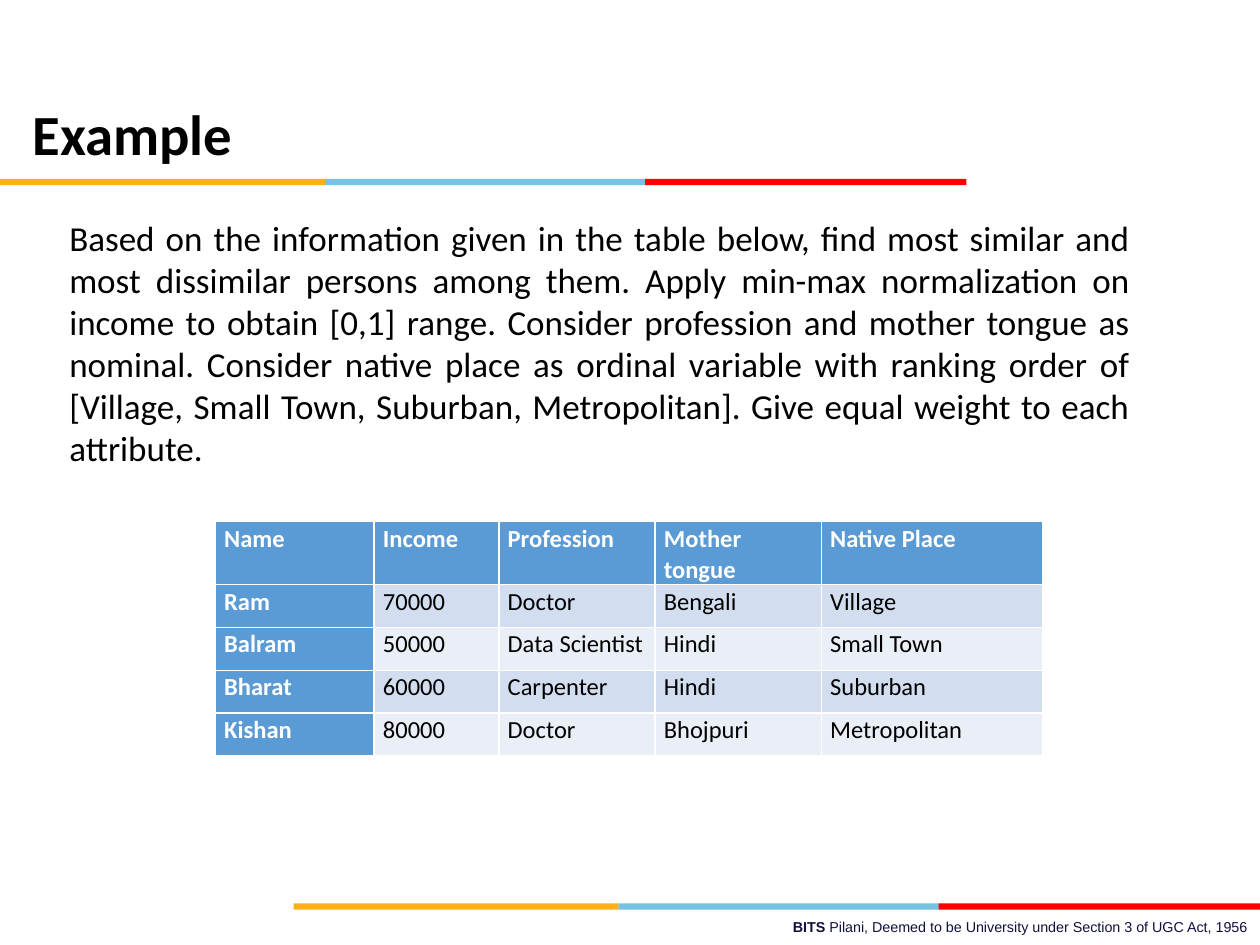
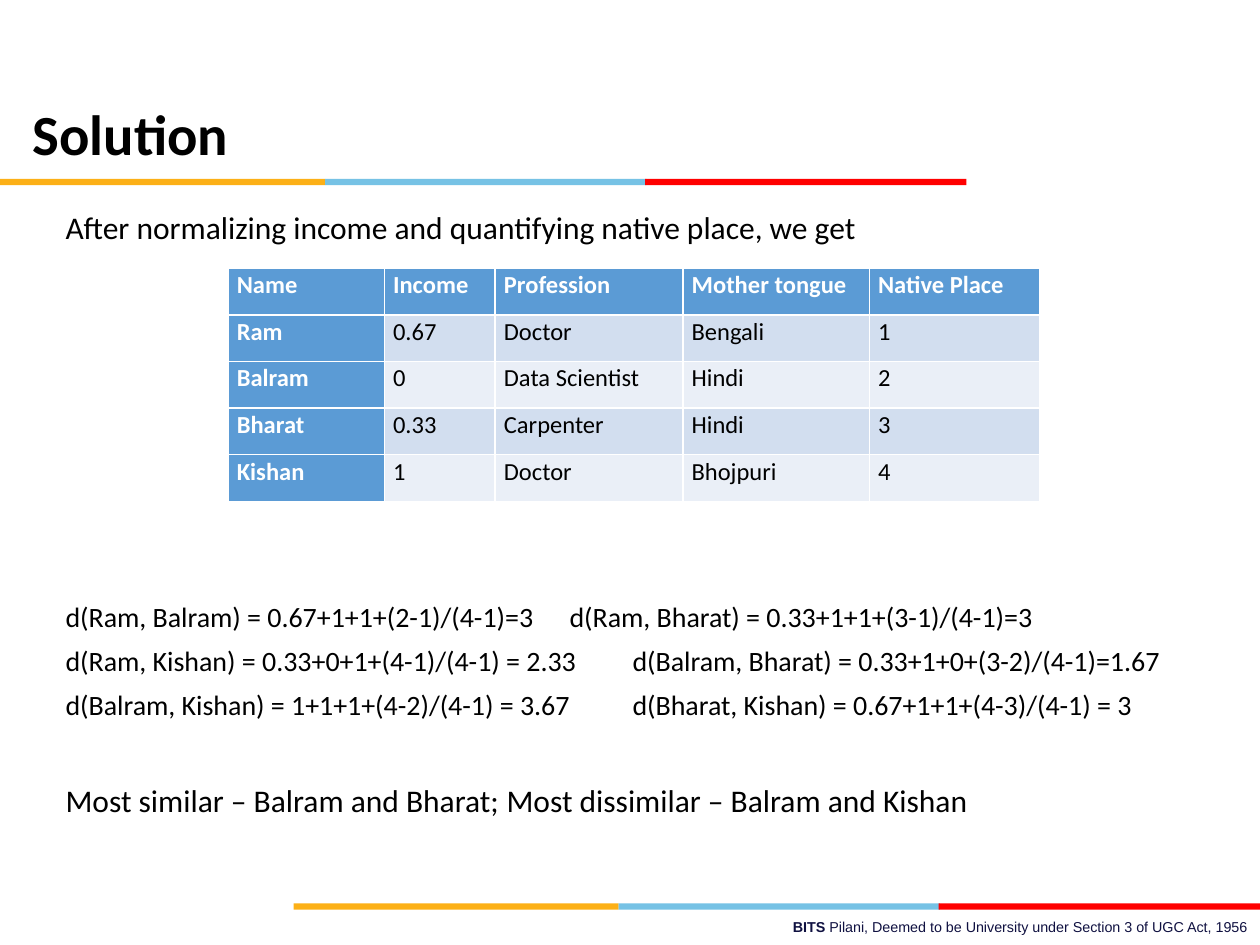
from lxml import etree
from pptx import Presentation
from pptx.dml.color import RGBColor
from pptx.enum import shapes, text
from pptx.oxml import ns
from pptx.util import Inches, Pt

GOLD = RGBColor(0xFC, 0xB0, 0x17)
SKY = RGBColor(0x76, 0xC2, 0xE5)
RED = RGBColor(0xFF, 0x00, 0x00)
NAVY = RGBColor(0x10, 0x11, 0x41)
BLACK = RGBColor(0x00, 0x00, 0x00)
WHITE = RGBColor(0xFF, 0xFF, 0xFF)
BLUE = RGBColor(0x5B, 0x9B, 0xD5)
PALE = [RGBColor(0xD2, 0xDE, 0xEF), RGBColor(0xEA, 0xEF, 0xF7)]

HEAD = ["Name", "Income", "Profession", "Mother tongue", "Native Place"]
PEOPLE = [
    ("Ram", "Doctor", "Bengali"),
    ("Balram", "Data Scientist", "Hindi"),
    ("Bharat", "Carpenter", "Hindi"),
    ("Kishan", "Doctor", "Bhojpuri"),
]
TASK = (
    "Based on the information given in the table below, find most similar and "
    "most dissimilar persons among them. Apply min-max normalization on income "
    "to obtain [0,1] range. Consider profession and mother tongue as nominal. "
    "Consider native place as ordinal variable with ranking order of [Village, "
    "Small Town, Suburban, Metropolitan]. Give equal weight to each attribute."
)

# Each line: text, size, space before, space after, tab stop, alignment
LEFT, JUST = text.PP_ALIGN.LEFT, text.PP_ALIGN.JUSTIFY
PAGES = [
    {
        "title": "Example",
        "body": (0.45, 1.67, 8.62, 4.76),
        "lines": [(TASK, 20, 0, 0, None, JUST)],
        "table": (1.71, 4.14),
        "cols": [1.26, 0.99, 1.24, 1.32, 1.76],
        "rows": [0.5] + [0.34] * 4,
        "income": ["70000", "50000", "60000", "80000"],
        "place": ["Village", "Small Town", "Suburban", "Metropolitan"],
    },
    {
        "title": "Solution",
        "body": (0.42, 1.6, 9.17, 5.33),
        "lines": [
            ("After normalizing income and quantifying native place, we get",
             18, 0, 6, None, LEFT),
            ("d(Ram, Balram) = 0.67+1+1+(2-1)/(4-1)=3\t"
             "d(Ram, Bharat) = 0.33+1+1+(3-1)/(4-1)=3", 16, 196, 6, 4.0, LEFT),
            ("d(Ram, Kishan) = 0.33+0+1+(4-1)/(4-1) = 2.33\t"
             "d(Balram, Bharat) = 0.33+1+0+(3-2)/(4-1)=1.67", 16, 0, 6, 4.14, LEFT),
            ("d(Balram, Kishan) = 1+1+1+(4-2)/(4-1) = 3.67\t"
             "d(Bharat, Kishan) = 0.67+1+1+(4-3)/(4-1) = 3", 16, 0, 6, 4.09, LEFT),
            ("Most similar – Balram and Bharat;\t"
             "Most dissimilar – Balram and Kishan", 18, 28, 6, 3.66, LEFT),
        ],
        "table": (1.81, 2.13),
        "cols": [1.24, 0.88, 1.49, 1.48, 1.35],
        "rows": [0.37] * 5,
        "income": ["0.67", "0", "0.33", "1"],
        "place": ["1", "2", "3", "4"],
    },
]


def place(shape, box):
    shape.left, shape.top, shape.width, shape.height = map(Inches, box)


def style(font, size, color, bold=False, name="Calibri"):
    font.name, font.size, font.bold = name, Pt(size), bold
    font.color.rgb = color


deck = Presentation()
deck.slide_width, deck.slide_height = Inches(10), Inches(7.5)

for page in PAGES:
    slide = deck.slides.add_slide(deck.slide_layouts[1])

    # Three-colour bands under the title and above the footer
    for left, top in [(0, 1.42), (2.33, 7.17)]:
        for shift, width, color in [(0, 2.58, GOLD), (2.58, 2.55, SKY), (5.12, 2.55, RED)]:
            band = slide.shapes.add_shape(
                shapes.MSO_SHAPE.RECTANGLE, Inches(left + shift), Inches(top),
                Inches(width), Inches(0.05))
            band.shadow.inherit = False
            band.fill.solid()
            band.fill.fore_color.rgb = color
            band.line.fill.background()

    # Footer
    foot = slide.shapes.add_textbox(Inches(3.58), Inches(7.24), Inches(6.42), Inches(0.24))
    foot.text_frame.word_wrap = True
    para = foot.text_frame.paragraphs[0]
    para.alignment = text.PP_ALIGN.RIGHT
    for words, bold in [
        ("BITS ", True),
        ("Pilani, Deemed to be University under Section 3 of UGC Act, 1956", False),
    ]:
        run = para.add_run()
        run.text = words
        style(run.font, 8.2, NAVY, bold, "Arial")

    # Title
    title = slide.shapes.title
    place(title, (0.16, 0.82, 8.62, 0.54))
    title.text_frame.text = page["title"]
    title.text_frame.auto_size = text.MSO_AUTO_SIZE.NONE
    title.text_frame.vertical_anchor = text.MSO_ANCHOR.MIDDLE
    para = title.text_frame.paragraphs[0]
    para.alignment, para.line_spacing = LEFT, 0.9
    style(para.font, 32.4, BLACK, True)

    # Body text
    body = slide.placeholders[1]
    place(body, page["body"])
    frame = body.text_frame
    frame.auto_size = text.MSO_AUTO_SIZE.NONE
    frame.text = "\n".join(line[0] for line in page["lines"])
    for para, (_, size, before, after, tab, align) in zip(frame.paragraphs, page["lines"]):
        props = para._p.get_or_add_pPr()
        props.set("marL", "0")
        props.set("indent", "0")
        etree.SubElement(props, ns.qn("a:buNone"))
        if tab:
            tabs = etree.SubElement(props, ns.qn("a:tabLst"))
            etree.SubElement(tabs, ns.qn("a:tab"), pos=str(Inches(tab)), algn="l")
        para.alignment = align
        para.space_before, para.space_after = Pt(before), Pt(after)
        style(para.font, size, BLACK)

    # Table of people
    cols, rows = page["cols"], page["rows"]
    left, top = page["table"]
    grid = slide.shapes.add_table(
        len(rows), len(cols), Inches(left), Inches(top),
        Inches(sum(cols)), Inches(sum(rows))).table
    grid.first_col = True
    for col, width in zip(grid.columns, cols):
        col.width = Inches(width)
    for row, height in zip(grid.rows, rows):
        row.height = Inches(height)
    data = [HEAD] + [
        (name, income, job, tongue, home)
        for (name, job, tongue), income, home in zip(PEOPLE, page["income"], page["place"])
    ]
    for r, record in enumerate(data):
        for c, value in enumerate(record):
            key = r == 0 or c == 0
            cell = grid.cell(r, c)
            cell.text = value
            cell.margin_left = cell.margin_right = Inches(0.07)
            cell.margin_top = cell.margin_bottom = 0
            cell.fill.solid()
            cell.fill.fore_color.rgb = BLUE if key else PALE[(r - 1) % 2]
            para = cell.text_frame.paragraphs[0]
            para.line_spacing = 1.07
            style(para.font, 14, WHITE if key else BLACK, key)

deck.save("out.pptx")
